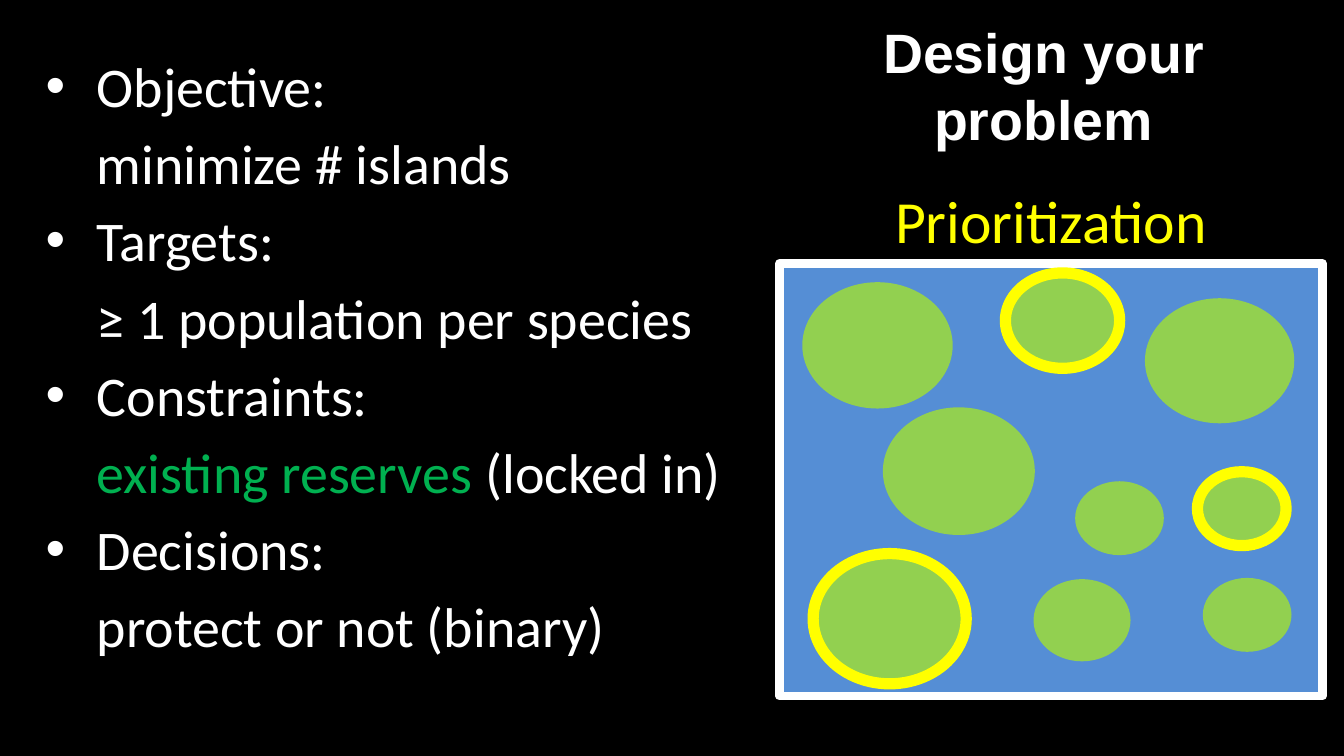
from dataclasses import dataclass

from lxml.etree import SubElement
from pptx import Presentation
from pptx.dml.color import RGBColor
from pptx.enum.shapes import MSO_SHAPE
from pptx.enum.text import MSO_ANCHOR, PP_ALIGN
from pptx.oxml.ns import qn
from pptx.util import Pt


@dataclass(frozen=True)
class Theme:
    background: str = "000000"
    text: str = "FFFFFF"
    sea: str = "558ED5"
    island: str = "92D050"
    highlight: str = "FFFF00"
    reserve: str = "00B050"
    body_font: str = "Calibri"
    title_font: str = "Arial"
    body_size: float = 30
    title_size: float = 29.7
    caption_size: float = 32
    frame_width: float = 4.5
    ring_width: float = 6


THEME = Theme()
HANGING = 27.4
LINE_GAP = 5.35

# Each step: heading, then its detail as (text, colour) pieces
STEPS = [
    ("Objective:", [("minimize # islands", THEME.text)]),
    ("Targets:", [("≥ 1 population per species", THEME.text)]),
    ("Constraints:", [("existing reserves", THEME.reserve),
                      (" (locked in)", THEME.text)]),
    ("Decisions:", [("protect or not (binary)", THEME.text)]),
]

# Islands: left, top, width, height, and whether it is selected
ISLANDS = [
    (613.4, 159.8, 80, 67, False),
    (553.7, 310.3, 52, 44, False),
    (429.8, 151.2, 80.6, 67.7, False),
    (435.6, 296.6, 82, 69.8, True),
    (538.6, 146.2, 61.2, 51.1, True),
    (641.5, 252.7, 47.5, 39.6, True),
    (576, 257.8, 47.5, 39.6, False),
    (644.4, 309.6, 47.5, 39.6, False),
    (473, 218.2, 81.4, 68.4, False),
]


def set_format(target, values):
    for name, value in values.items():
        setattr(target, name, value)


def add_area(slide, preset, box, fill, line=None, line_width=0):
    area = slide.shapes.add_shape(preset, *map(Pt, box))
    area.shadow.inherit = False
    area.fill.solid()
    area.fill.fore_color.rgb = RGBColor.from_string(fill)
    if line:
        area.line.color.rgb = RGBColor.from_string(line)
        area.line.width = Pt(line_width)
    else:
        area.line.fill.background()


def add_text_frame(slide, box, anchor=MSO_ANCHOR.TOP):
    frame = slide.shapes.add_textbox(*map(Pt, box)).text_frame
    set_format(frame, {"word_wrap": True, "vertical_anchor": anchor})
    return frame


def add_run(paragraph, text, color, size, font, bold=False):
    run = paragraph.add_run()
    run.text = text
    set_format(run.font, {"name": font, "size": Pt(size), "bold": bold})
    run.font.color.rgb = RGBColor.from_string(color)


def indent(paragraph, bullet):
    properties = paragraph._p.get_or_add_pPr()
    properties.set("marL", str(Pt(HANGING)))
    properties.set("indent", str(-Pt(HANGING) if bullet else 0))
    if bullet:
        SubElement(properties, qn("a:buFont"), typeface="Arial")
        SubElement(properties, qn("a:buChar"), char="•")
    else:
        SubElement(properties, qn("a:buNone"))


def add_steps(slide, box):
    frame = add_text_frame(slide, box)
    lines = []
    for heading, detail in STEPS:
        lines += [([(heading, THEME.text)], True), (detail, False)]
    for number, (pieces, bullet) in enumerate(lines):
        paragraph = frame.add_paragraph() if number else frame.paragraphs[0]
        indent(paragraph, bullet)
        if number:
            paragraph.space_before = Pt(LINE_GAP)
        for text, color in pieces:
            add_run(paragraph, text, color, THEME.body_size, THEME.body_font)


def add_heading(slide, box, text, anchor, **style):
    heading = add_text_frame(slide, box, anchor).paragraphs[0]
    heading.alignment = PP_ALIGN.CENTER
    add_run(heading, text, **style)


def add_island_map(slide):
    add_area(slide, MSO_SHAPE.RECTANGLE, (417.6, 141.1, 290.9, 231.8),
             THEME.sea, THEME.text, THEME.frame_width)
    for *box, selected in ISLANDS:
        ring = THEME.highlight if selected else None
        add_area(slide, MSO_SHAPE.OVAL, box, THEME.island, ring, THEME.ring_width)


def main():
    deck = Presentation()
    set_format(deck, {"slide_width": Pt(720), "slide_height": Pt(405)})
    slide = deck.slides.add_slide(deck.slide_layouts[6])
    slide.background.fill.solid()
    slide.background.fill.fore_color.rgb = RGBColor.from_string(THEME.background)

    # Map of islands with the selected ones ringed
    add_island_map(slide)

    # Problem definition
    add_steps(slide, (17.3, 24, 390.2, 347))

    # Title and map caption
    add_heading(slide, (407.5, 11.5, 303.1, 67.7), "Design your problem",
                MSO_ANCHOR.MIDDLE, color=THEME.text, size=THEME.title_size,
                font=THEME.title_font, bold=True)
    add_heading(slide, (417.6, 95, 290.9, 46), "Prioritization",
                MSO_ANCHOR.TOP, color=THEME.highlight, size=THEME.caption_size,
                font=THEME.body_font)

    deck.save("out.pptx")


if __name__ == "__main__":
    main()
